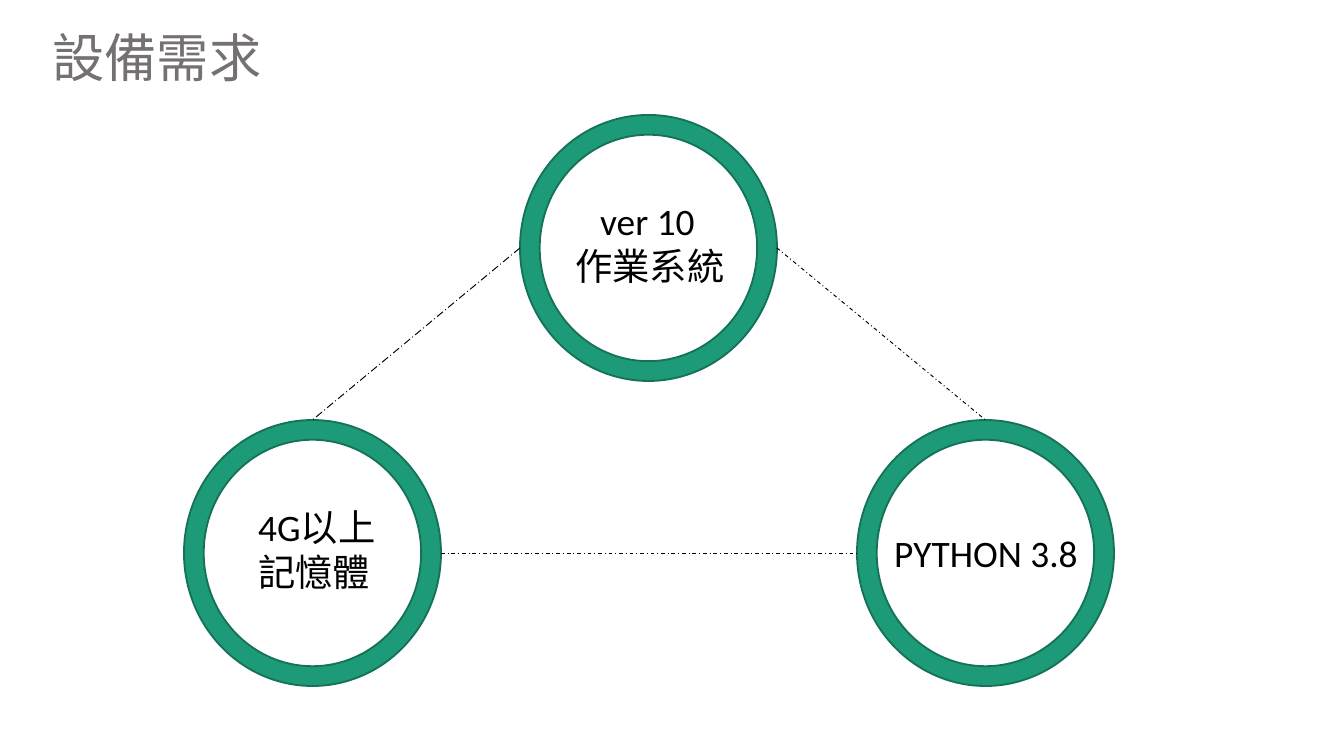
import dataclasses

import pptx
import pptx.dml.color
import pptx.enum.dml
import pptx.enum.shapes
import pptx.enum.text
import pptx.oxml.ns
import pptx.util
from lxml import etree

PX_PER_INCH = 134.4
RING_W, RING_H = 257, 266
RING_BAND = 0.077
LABEL_W = 255


@dataclasses.dataclass(frozen=True)
class Theme:
    title_color: str = "767171"
    text_color: str = "000000"
    ring_fill: str = "1D9A78"
    ring_edge: str = "157259"
    title_font: str = "Noto Sans CJK SC"
    label_font: str = "Calibri"
    cjk_font: str = "Noto Sans CJK SC"
    title_size: int = 28
    label_size: int = 20
    ring_line: float = 1
    link_line: float = 0.5


THEME = Theme()


def px(length):
    return pptx.util.Emu(round(length * 914400 / PX_PER_INCH))


def rgb(code):
    return pptx.dml.color.RGBColor.from_string(code)


def write(paragraph, text, *, size, font, color, indent=0):
    """Fill one paragraph with left-aligned, formatted text."""
    run = paragraph.add_run()
    run.text = text
    run.font.size = pptx.util.Pt(size)
    run.font.name = font
    run.font.color.rgb = rgb(color)
    # East Asian characters take their own typeface
    latin = run._r.rPr.find(pptx.oxml.ns.qn("a:latin"))
    east_asian = etree.Element(pptx.oxml.ns.qn("a:ea"), typeface=THEME.cjk_font)
    latin.addnext(east_asian)
    paragraph.alignment = pptx.enum.text.PP_ALIGN.LEFT
    if indent:
        paragraph._p.get_or_add_pPr().set("marL", str(px(indent)))


def set_title(slide, text, left, top, width, height):
    title = slide.shapes.title
    title.left, title.top = px(left), px(top)
    title.width, title.height = px(width), px(height)
    frame = title.text_frame
    frame.word_wrap = True
    frame.auto_size = pptx.enum.text.MSO_AUTO_SIZE.NONE
    frame.vertical_anchor = pptx.enum.text.MSO_ANCHOR.TOP
    write(frame.paragraphs[0], text, size=THEME.title_size,
          font=THEME.title_font, color=THEME.title_color)


def add_ring(slide, left, top):
    ring = slide.shapes.add_shape(
        pptx.enum.shapes.MSO_SHAPE.DONUT, px(left), px(top), px(RING_W), px(RING_H))
    ring.adjustments[0] = RING_BAND
    ring.shadow.inherit = False
    ring.fill.solid()
    ring.fill.fore_color.rgb = rgb(THEME.ring_fill)
    ring.line.color.rgb = rgb(THEME.ring_edge)
    ring.line.width = pptx.util.Pt(THEME.ring_line)


def ring_point(ring, side):
    """Return the point in the middle of one side of a ring."""
    left, top = ring
    across, down = {"top": (0.5, 0), "left": (0, 0.5), "right": (1, 0.5)}[side]
    return left + across * RING_W, top + down * RING_H


def add_link(slide, start, end, dash):
    link = slide.shapes.add_connector(
        pptx.enum.shapes.MSO_CONNECTOR.STRAIGHT, *map(px, start + end))
    link.line.color.rgb = rgb(THEME.text_color)
    link.line.width = pptx.util.Pt(THEME.link_line)
    link.line.dash_style = dash
    etree.SubElement(link._element.spPr, pptx.oxml.ns.qn("a:effectLst"))


def add_label(slide, lines, left, top, height):
    """Add a label from (text, indent) lines."""
    frame = slide.shapes.add_textbox(
        px(left), px(top), px(LABEL_W), px(height)).text_frame
    frame.word_wrap = True
    for index, (text, indent) in enumerate(lines):
        paragraph = frame.add_paragraph() if index else frame.paragraphs[0]
        write(paragraph, text, size=THEME.label_size, font=THEME.label_font,
              color=THEME.text_color, indent=indent)


def main():
    deck = pptx.Presentation()
    deck.slide_width, deck.slide_height = px(1344), px(756)
    slide = deck.slides.add_slide(deck.slide_layouts[5])
    set_title(slide, "設備需求", 39, 19, 610, 76)

    # Three requirements at the corners of a triangle
    system, memory, language = (520, 115), (184, 420), (857, 420)
    for ring in (system, memory, language):
        add_ring(slide, *ring)

    # Dashed links between the rings
    dashes = pptx.enum.dml.MSO_LINE
    add_link(slide, ring_point(system, "left"), ring_point(memory, "top"),
             dashes.LONG_DASH_DOT)
    add_link(slide, ring_point(memory, "right"), ring_point(language, "left"),
             dashes.DASH_DOT)
    add_link(slide, ring_point(system, "right"), ring_point(language, "top"),
             dashes.DASH_DOT)

    # Requirement labels
    add_label(slide, [("ver 10", 25), ("作業系統", 0)], 562, 192, 149)
    add_label(slide, [("4G以上", 0), ("記憶體", 0)], 245, 498, 149)
    add_label(slide, [("PYTHON 3.8", 0)], 881, 524, 59)

    deck.save("out.pptx")


if __name__ == "__main__":
    main()
